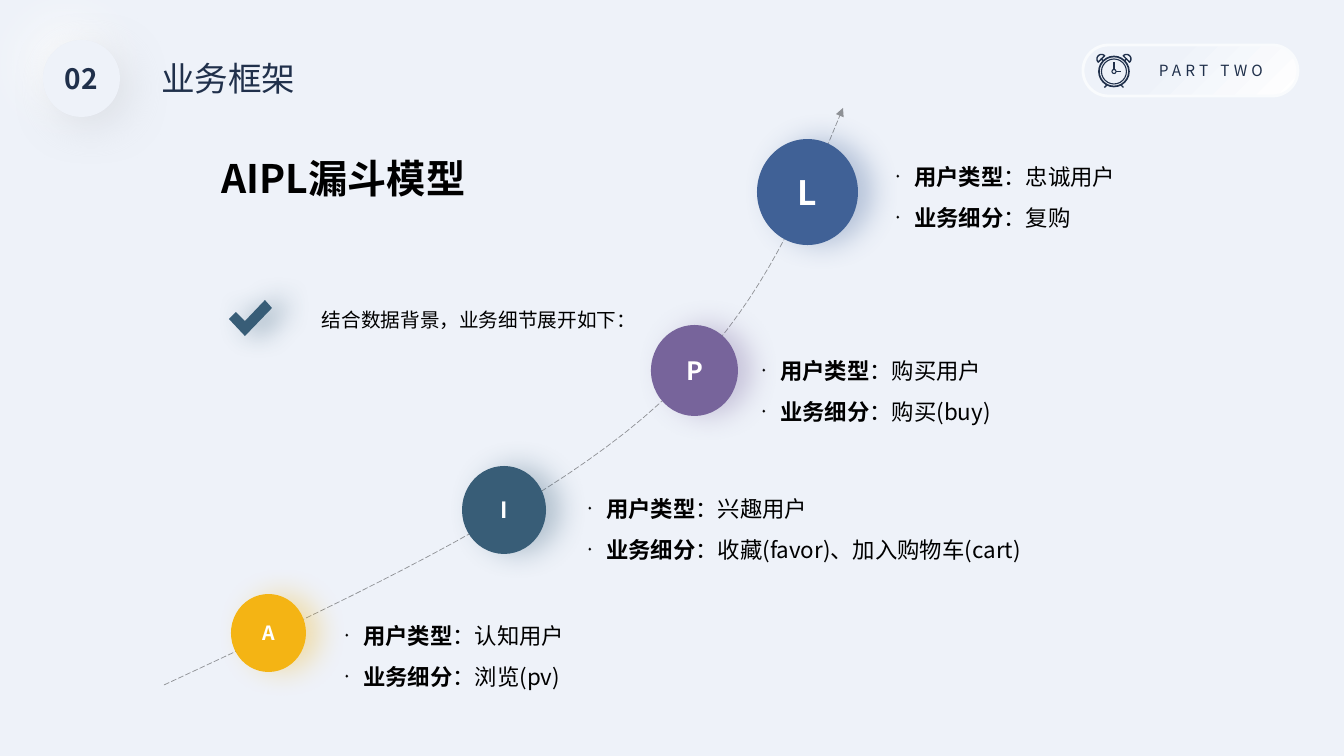
from math import cos, sin, radians
from lxml.etree import SubElement
from pptx import Presentation
from pptx.dml.color import RGBColor
from pptx.enum.dml import MSO_LINE
from pptx.enum.shapes import MSO_CONNECTOR, MSO_SHAPE
from pptx.enum.text import MSO_ANCHOR, MSO_AUTO_SIZE, PP_ALIGN
from pptx.oxml.ns import qn
from pptx.util import Pt

FONT = "Noto Sans CJK SC"
NAVY, PALE, TEAL = "20304B", "EEF2F9", "385D77"
hue = RGBColor.from_string


def px(*vals):
    return [round(v * 914400 / 100.8) for v in vals]


def paint(shape, fill=None, line=None, width=1, glow=None):
    if fill:
        shape.fill.solid()
        shape.fill.fore_color.rgb = hue(fill)
    elif hasattr(shape, "fill"):
        shape.fill.background()
    if line:
        shape.line.color.rgb = hue(line)
        shape.line.width = Pt(width)
    else:
        shape.line.fill.background()
    effect = SubElement(shape._element.spPr, qn("a:effectLst"))
    if glow:
        tint, alpha, blur, dist, angle = glow
        outer = SubElement(effect, qn("a:outerShdw"), blurRad=str(Pt(blur)),
                           dist=str(Pt(dist)), dir=str(angle * 60000),
                           algn="ctr", rotWithShape="0")
        clr = SubElement(outer, qn("a:srgbClr"), val=tint)
        SubElement(clr, qn("a:alpha"), val=str(alpha * 1000))
    return shape


deck = Presentation()
deck.slide_width, deck.slide_height = px(1344, 756)
slide = deck.slides.add_slide(deck.slide_layouts[4])
slide.background.fill.solid()
slide.background.fill.fore_color.rgb = hue(PALE)
draw = slide.shapes
texts = []  # paragraph, words, size, colour, bold

# Part label
pill = draw.add_shape(MSO_SHAPE.ROUNDED_RECTANGLE, *px(1083, 45, 215, 51))
pill.adjustments[0] = 0.5
paint(pill, PALE, "F9FBFD", 2)
pill.fill.gradient()
pill.fill.gradient_angle = 315
for stop, tint, pos in zip(pill.fill.gradient_stops, (PALE, "FFFFFF"), (0.35, 1)):
    stop.color.rgb = hue(tint)
    stop.position = pos

# Alarm clock
mid, top = 1114, 71.5
for r, fill, width in ((15, None, 1.2), (12.5, None, 0.8), (2, PALE, 0.8)):
    ring = draw.add_shape(MSO_SHAPE.OVAL, *px(mid - r, top - r, 2 * r, 2 * r))
    paint(ring, fill, NAVY, width)
strokes = [(0, -2, 0, -9), (2, 0, 7, 0)]
for side in (-1, 1):
    strokes += [(side * 7, 13.5, side * 9.5, 16), (side * 11, -11, side * 13, -13)]
    arc = [px(mid + side * (12 + 4.5 * cos(radians(a))), top - 13 - 4.5 * sin(radians(a)))
           for a in range(-45 if side < 0 else -45, 136, 15)]
    arc = [px(mid + side * (12.5 + 4.5 * cos(radians(a))), top - 12.5 - 4.5 * sin(radians(a)))
           for a in range(-45, 136, 15)]
    bell = draw.build_freeform(*arc[0], scale=1.0)
    bell.add_line_segments(arc[1:], close=True)
    paint(bell.convert_to_shape(), None, NAVY, 1)
for x1, y1, x2, y2 in strokes:
    hand = draw.add_connector(MSO_CONNECTOR.STRAIGHT,
                              *px(mid + x1, top + y1, mid + x2, top + y2))
    paint(hand, None, NAVY, 1)

# Number badge
for glow in (("FFFFFF", 100, 40, 15, 225), ("CACED4", 50, 30, 10, 45)):
    badge = paint(draw.add_shape(MSO_SHAPE.OVAL, *px(43, 40, 77, 77)), PALE, glow=glow)
badge.text_frame.word_wrap = False
badge.text_frame.paragraphs[0].alignment = PP_ALIGN.CENTER
texts.append((badge.text_frame.paragraphs[0], "02", 20, NAVY, True))

# Title
title = draw.title
title.left, title.top, title.width, title.height = px(151, 53, 163, 50)
title.text_frame.auto_size = MSO_AUTO_SIZE.NONE
title.text_frame.paragraphs[0].alignment = PP_ALIGN.LEFT
texts.append((title.text_frame.paragraphs[0], "业务框架", 24, NAVY, False))

# Growth curve, two Bezier parts
parts = [((164, 685), (347, 600), (530, 514), (643, 418)),
         ((643, 418), (756, 322), (799, 215), (843, 108))]
dots = []
for part in parts:
    for t in (n / 20 for n in range(21)):
        mix = ((1 - t) ** 3, 3 * t * (1 - t) ** 2, 3 * t * t * (1 - t), t ** 3)
        dots.append(px(*(sum(m * p[i] for m, p in zip(mix, part)) for i in (0, 1))))
path = draw.build_freeform(*dots[0], scale=1.0)
path.add_line_segments(dots[1:], close=False)
curve = paint(path.convert_to_shape(), None, "000000", 0.5)
curve.line.dash_style = MSO_LINE.LONG_DASH
ln = curve.line._get_or_add_ln()
SubElement(ln.find(".//" + qn("a:srgbClr")), qn("a:alpha"), val="40000")
SubElement(ln, qn("a:tailEnd"), type="triangle")

# Stages with their lists
stages = [
    ("L", "406196", 24, (757, 139, 101, 106), (885, 145), "忠诚用户", "复购"),
    ("P", "77649B", 18, (651, 325, 87, 91), (751, 339), "购买用户", "购买(buy)"),
    ("I", TEAL, 16, (462, 466, 84, 88), (577, 477), "兴趣用户", "收藏(favor)、加入购物车(cart)"),
    ("A", "F4B414", 14, (231, 594, 75, 78), (334, 604), "认知用户", "浏览(pv)"),
]
bodies = [p for p in slide.placeholders if p.placeholder_format.idx]
for body, (name, tint, size, spot, at, user, task) in zip(bodies, stages):
    disc = paint(draw.add_shape(MSO_SHAPE.OVAL, *px(*spot)), tint,
                 glow=(tint, 32, 20, 10, 0))
    disc.text_frame.word_wrap = False
    disc.text_frame.paragraphs[0].alignment = PP_ALIGN.CENTER
    texts.append((disc.text_frame.paragraphs[0], name, size, "FFFFFF", True))

    body.left, body.top, body.width, body.height = px(*at, 548, 99)
    frame = body.text_frame
    frame.auto_size = MSO_AUTO_SIZE.NONE
    frame.vertical_anchor = MSO_ANCHOR.TOP
    rows = [frame.paragraphs[0], frame.add_paragraph()]
    for row, head, words in zip(rows, ("用户类型", "业务细分"), (user, task)):
        row.line_spacing = 1.5
        row.space_before = Pt(0)
        ppr = row._p.get_or_add_pPr()
        indent = px(19)[0]
        ppr.set("marL", str(indent))
        ppr.set("indent", str(-indent))
        SubElement(ppr, qn("a:buSzPct"), val="25000")
        SubElement(ppr, qn("a:buChar"), char="◆")
        texts += [(row, head, 16, "000000", True), (row, "：" + words, 16, "000000", False)]

# Check mark
tick = draw.build_freeform(*px(265, 300), scale=1.0)
tick.add_line_segments([px(*p) for p in ((245, 321), (236, 312), (229, 319),
                                         (245, 336), (272, 308))], close=True)
paint(tick.convert_to_shape(), TEAL, glow=(TEAL, 60, 20, 10, 0))

# Free texts
notes = [
    ("PART TWO", (1131, 56, 160, 29), 11, NAVY, False, 1, PP_ALIGN.CENTER),
    ("AIPL漏斗模型", (212, 145, 449, 66), 28, "000000", True, 1, PP_ALIGN.LEFT),
    ("结合数据背景，业务细节展开如下：", (312, 291, 339, 44), 14, "000000", False, 1.5, PP_ALIGN.LEFT),
]
for words, spot, size, tint, bold, space, align in notes:
    frame = draw.add_textbox(*px(*spot)).text_frame
    frame.word_wrap = True
    frame.vertical_anchor = MSO_ANCHOR.MIDDLE if bold else MSO_ANCHOR.TOP
    para = frame.paragraphs[0]
    para.alignment, para.line_spacing = align, space
    texts.append((para, words, size, tint, bold))

# Write all text
for para, words, size, tint, bold in texts:
    run = para.add_run()
    run.text = words
    for key, val in {"name": FONT, "size": Pt(size), "bold": bold}.items():
        setattr(run.font, key, val)
    run.font.color.rgb = hue(tint)
    rpr = run._r.get_or_add_rPr()
    SubElement(rpr, qn("a:ea"), typeface=FONT)
    if words == "PART TWO":
        rpr.set("spc", "300")

deck.save("out.pptx")
